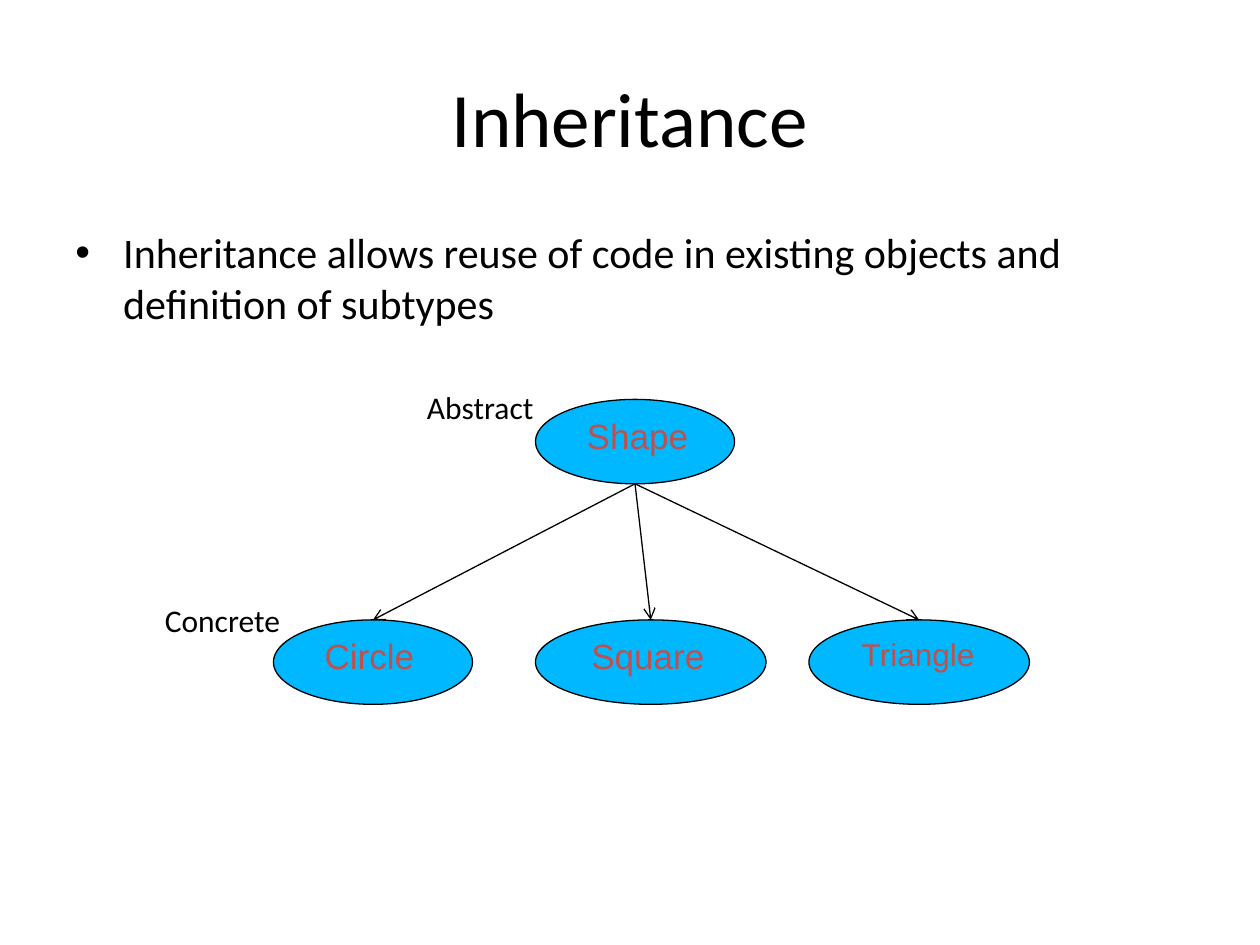
from lxml import etree
from pptx import Presentation, util as u
from pptx.dml.color import RGBColor
from pptx.enum import shapes, text
from pptx.oxml import ns

WIDE, HIGH = 10, 7.5
INK, SKY, BRICK = "000000", "00B8FF", "C0504D"
NODE_H = 0.67
TOP, LOW = 3.17, 4.92  # rows of the class tree


def color(code):
    return RGBColor.from_string(code)


def inches(*sizes):
    return [u.Inches(size) for size in sizes]


def add_run(para, words, size, font="Calibri", ink=INK):
    run = para.add_run()
    run.text = words
    run.font.size = u.Pt(size)
    run.font.name = font
    run.font.color.rgb = color(ink)


def add_sub(parent, tag, **attrs):
    return etree.SubElement(parent, ns.qn(tag), attrs)


def set_title(slide, words):
    title = slide.shapes.title
    title.left, title.top, title.width, title.height = inches(
        0.05 * WIDE, 0.04 * HIGH, 0.9 * WIDE, 1.25)
    title.text_frame.vertical_anchor = text.MSO_ANCHOR.MIDDLE
    para = title.text_frame.paragraphs[0]
    para.alignment = text.PP_ALIGN.CENTER
    add_run(para, words, 44)


def add_text(slide, box, words, size):
    frame = slide.shapes.add_textbox(*inches(*box)).text_frame
    frame.word_wrap = True
    para = frame.paragraphs[0]
    add_run(para, words, size)
    return para


def add_bullet(para):
    props = para._p.get_or_add_pPr()
    indent = u.Inches(0.38)
    props.set("marL", str(indent))
    props.set("indent", str(-indent))
    space = add_sub(props, "a:spcBef")
    add_sub(space, "a:spcPct", val="20000")
    add_sub(props, "a:buFont", typeface="Arial")
    add_sub(props, "a:buChar", char="•")


def add_node(tree, left, top, width, name, size=20):
    node = tree.shapes.add_shape(
        shapes.MSO_SHAPE.OVAL, *inches(left, top, width, NODE_H))
    node.shadow.inherit = False
    node.fill.solid()
    node.fill.fore_color.rgb = color(SKY)
    node.line.color.rgb = color(INK)
    node.line.width = u.Pt(0.75)
    node.text_frame.vertical_anchor = text.MSO_ANCHOR.TOP
    para = node.text_frame.paragraphs[0]
    para.alignment = text.PP_ALIGN.LEFT
    para.line_spacing = 0.93
    para.space_before = u.Pt(5)
    add_run(para, " " + name, size, "Arial", BRICK)
    return node


def add_arrow(tree, base, child):
    # From the bottom of the base class to the top of the subtype
    link = tree.shapes.add_connector(
        shapes.MSO_CONNECTOR.STRAIGHT, 0, 0, 0, 0)
    link.begin_x = base.left + base.width // 2
    link.begin_y = base.top + base.height
    link.end_x = child.left + child.width // 2
    link.end_y = child.top
    link.line.color.rgb = color(INK)
    link.line.width = u.Pt(0.75)
    add_sub(link.line._get_or_add_ln(), "a:tailEnd", type="arrow")
    add_sub(link._element.spPr, "a:effectLst")


def main():
    deck = Presentation()
    deck.slide_width, deck.slide_height = inches(WIDE, HIGH)
    slide = deck.slides.add_slide(deck.slide_layouts[5])

    # Title and main point
    set_title(slide, "Inheritance")
    point = add_text(
        slide, (0.05 * WIDE, 1.75, 0.9 * WIDE, 0.66 * HIGH),
        "Inheritance allows reuse of code in existing objects and "
        "definition of subtypes", 24)
    add_bullet(point)

    # Class tree
    tree = slide.shapes.add_group_shape()
    base = add_node(tree, 4.25, TOP, 1.58, "Shape")
    kinds = [(2.17, 1.58, "Circle", 20), (4.25, 1.83, "Square", 20),
             (6.42, 1.75, "Triangle", 18)]
    kids = [add_node(tree, left, LOW, width, name, size)
            for left, width, name, size in kinds]
    for kid in kids:
        add_arrow(tree, base, kid)

    # Row labels
    for left, top, name in [(3.29, 3.03, "Abstract"), (1.21, 4.72, "Concrete")]:
        add_text(slide, (left, top, 1.42, 0.4), name, 18)

    deck.save("out.pptx")


if __name__ == "__main__":
    main()
